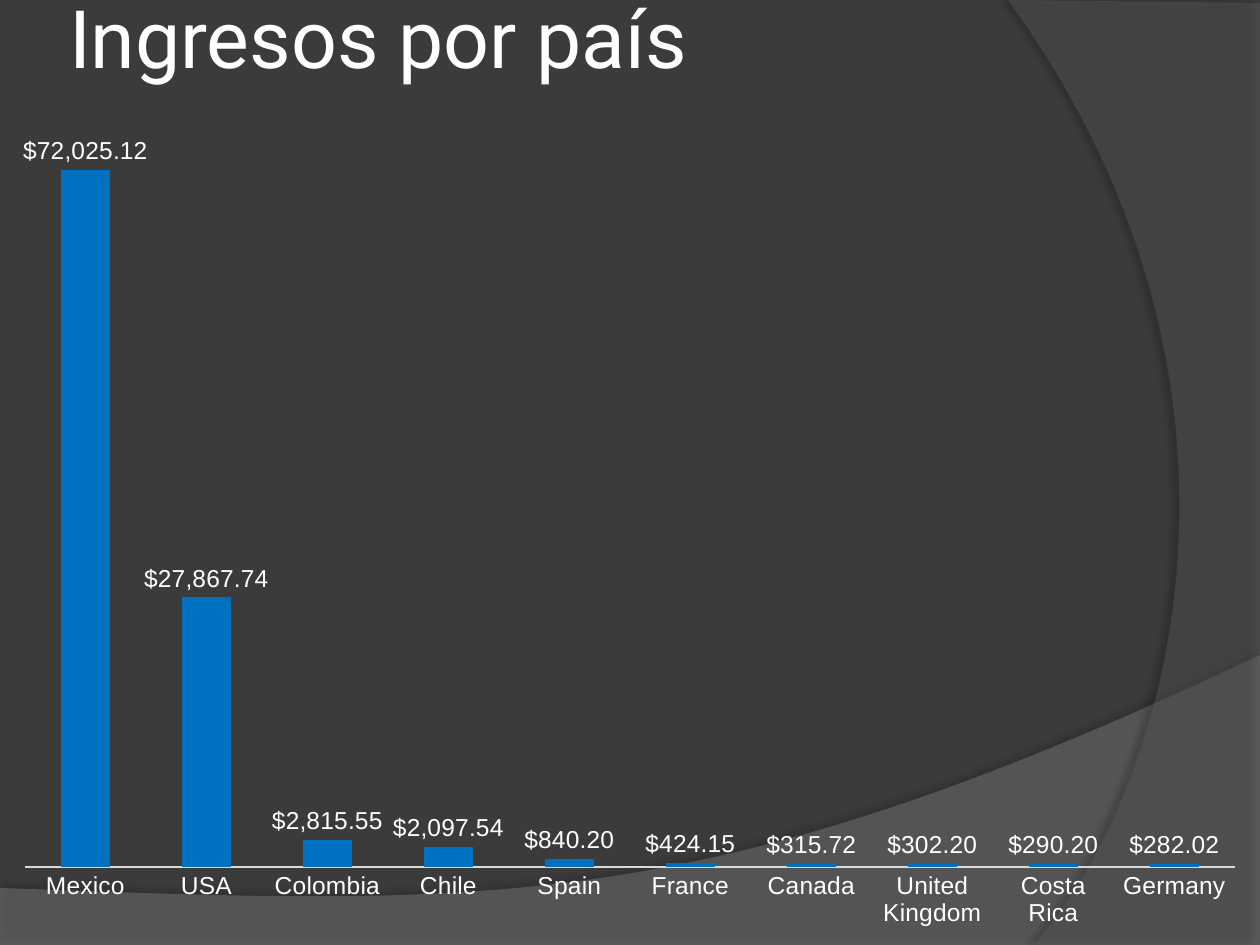
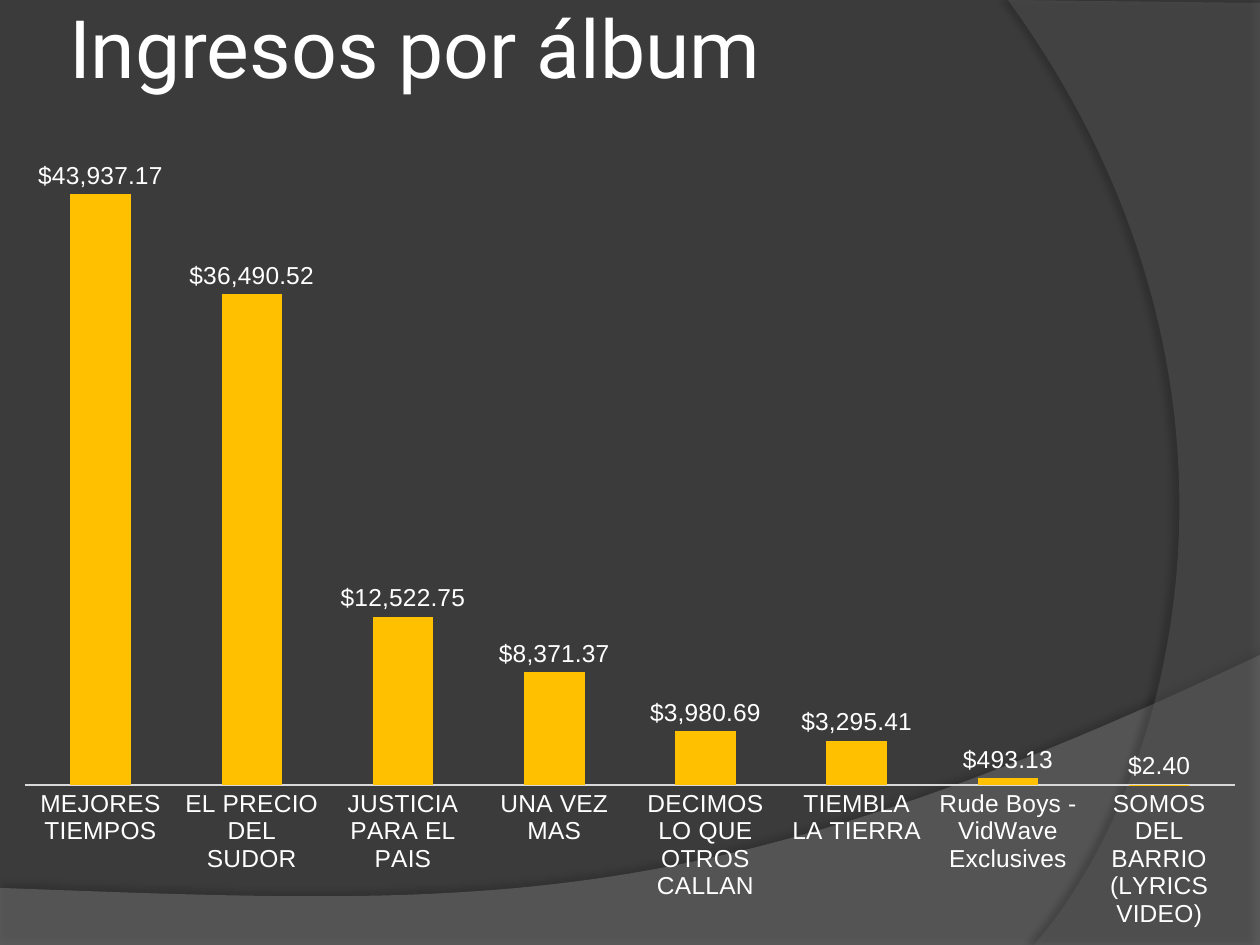
import pptx
import pptx.util
import pptx.chart.data
import pptx.dml.color
import pptx.enum.chart
import pptx.enum.text
from dataclasses import dataclass
from lxml import etree
from pptx.oxml.ns import qn


@dataclass(frozen=True)
class Theme:
    background: str = "3B3B3B"
    text: str = "FFFFFF"
    axis: str = "D9D9D9"
    wave: str = "7F7F7F"
    side: str = "5E5E5E"
    shadow: str = "000000"
    blue: str = "0070C0"
    gold: str = "FFC000"
    title_font: str = "Roboto"
    chart_font: str = "Arial"
    title_size: int = 46
    label_size: int = 14
    chart_size: int = 10


theme = Theme()
rgb = pptx.dml.color.RGBColor.from_string
MONEY = '"$"#,##0.00'
W, H = 1260, 945


def px(n):
    """Turn px (126 to the inch) into EMU."""
    return pptx.util.Emu(round(n * 914400 / 126))


def write(sp, text, *, font, size, color, anchor, inset):
    tf = sp.text_frame
    tf.word_wrap = True
    tf.auto_size = pptx.enum.text.MSO_AUTO_SIZE.NONE
    tf.vertical_anchor = anchor
    tf.margin_left = tf.margin_right = tf.margin_top = tf.margin_bottom = px(inset)
    p = tf.paragraphs[0]
    p.alignment = pptx.enum.text.PP_ALIGN.LEFT
    r = p.add_run()
    r.text = text
    r.font.name, r.font.size = font, pptx.util.Pt(size)
    r.font.color.rgb = rgb(color)


prs = pptx.Presentation()
prs.slide_width, prs.slide_height = px(W), px(H)
layout = prs.slide_layouts[5]

# Shared background colour
bg = prs.slide_master.background.fill
bg.solid()
bg.fore_color.rgb = rgb(theme.background)

# Slide content: title, title top, chart top, axis line y, axis maximum, colour, data
slides = [
    ("Ingresos por país", -43, 76, 867, 80000, theme.blue, 0.75, {
        "Mexico": 72025.12, "USA": 27867.74, "Colombia": 2815.55,
        "Chile": 2097.54, "Spain": 840.2, "France": 424.15, "Canada": 315.72,
        "United Kingdom": 302.2, "Costa Rica": 290.2, "Germany": 282.02}),
    ("Ingresos por álbum", -33, 96, 785, 50000, theme.gold, 1.5, {
        "MEJORES TIEMPOS": 43937.17, "EL PRECIO DEL SUDOR": 36490.52,
        "JUSTICIA PARA EL PAIS": 12522.75, "UNA VEZ MAS": 8371.37,
        "DECIMOS LO QUE OTROS CALLAN": 3980.69, "TIEMBLA LA TIERRA": 3295.41,
        "Rude Boys - VidWave Exclusives": 493.13,
        "SOMOS DEL BARRIO (LYRICS VIDEO)": 2.4}),
]

for title, title_top, chart_top, axis_y, maximum, color, axis_width, data in slides:
    s = prs.slides.add_slide(layout)

    # Title
    sp = s.shapes.title
    sp.left, sp.top, sp.width, sp.height = px(63), px(title_top), px(1134), px(158)
    write(sp, title, font=theme.title_font, size=theme.title_size, color=theme.text,
          anchor=pptx.enum.text.MSO_ANCHOR.MIDDLE, inset=6)

    # Column chart
    cd = pptx.chart.data.CategoryChartData(number_format=MONEY)
    cd.categories = list(data)
    cd.add_series("Series 1", list(data.values()))
    chart_height = H - chart_top
    chart = s.shapes.add_chart(
        pptx.enum.chart.XL_CHART_TYPE.COLUMN_CLUSTERED,
        px(0), px(chart_top), px(W), px(chart_height), cd).chart
    chart.has_legend = chart.has_title = False
    chart.font.name, chart.font.size = theme.chart_font, pptx.util.Pt(theme.chart_size)
    chart.font.color.rgb = rgb(theme.text)

    # Axes
    va, ca = chart.value_axis, chart.category_axis
    va.visible = va.has_major_gridlines = False
    va.minimum_scale, va.maximum_scale = 0, maximum
    va.tick_labels.number_format = MONEY
    va.tick_labels.number_format_is_linked = False
    ca.major_tick_mark = ca.minor_tick_mark = pptx.enum.chart.XL_TICK_MARK.NONE
    ca.format.line.color.rgb = rgb(theme.axis)
    ca.format.line.width = pptx.util.Pt(axis_width)

    # Columns and value labels
    plot = chart.plots[0]
    plot.gap_width, plot.overlap, plot.vary_by_categories = 150, -25, False
    fill = plot.series[0].format.fill
    fill.solid()
    fill.fore_color.rgb = rgb(color)
    plot.has_data_labels = True
    labels = plot.data_labels
    labels.show_value = True
    labels.number_format, labels.number_format_is_linked = MONEY, False
    labels.position = pptx.enum.chart.XL_LABEL_POSITION.OUTSIDE_END
    for font in (labels.font, ca.tick_labels.font):
        font.name, font.size = theme.chart_font, pptx.util.Pt(theme.label_size)
        font.color.rgb = rgb(theme.text)

    # Plot area: 25 px from the sides, 17 px from the top
    area = chart.element.find(".//" + qn("c:plotArea"))
    for old in area.findall(qn("c:layout")):
        area.remove(old)
    box = etree.Element(qn("c:layout"))
    area.insert(0, box)
    manual = etree.SubElement(box, qn("c:manualLayout"))
    for tag, val in [("layoutTarget", "inner"), ("xMode", "edge"), ("yMode", "edge"),
                     ("x", 25 / W), ("y", 17 / chart_height), ("w", (W - 50) / W),
                     ("h", (axis_y - chart_top - 17) / chart_height)]:
        etree.SubElement(manual, qn("c:" + tag)).set("val", str(val))

# Background curves, moved to the layout: corners, then a Bezier from the last one
curves = [
    ([(0, 888), (0, 945), (1260, 945), (1260, 655)],
     [(704, 919), (493, 906), (0, 888)], theme.wave, 45, 35, 3.5, 270),
    ([(1260, 3), (1260, 945), (1034, 945)],
     [(1178, 780), (1283, 378), (1008, 0)], theme.side, 40, 45, 4, 180),
]
for i, (corners, bend, color, alpha, shade, dist, angle) in enumerate(curves):
    a, b, c, d = [corners[-1]] + bend
    points = list(corners)
    for t in (n / 60 for n in range(1, 61)):
        u = 1 - t
        points.append([u**3 * a[k] + 3*u*u*t * b[k] + 3*u*t*t * c[k] + t**3 * d[k]
                       for k in (0, 1)])
    points = [(px(x), px(y)) for x, y in points]
    fb = prs.slides[0].shapes.build_freeform(*points[0], scale=1.0)
    fb.add_line_segments(points[1:], close=True)
    sp = fb.convert_to_shape()
    sp.fill.solid()
    sp.fill.fore_color.rgb = rgb(color)
    sp.line.fill.background()
    sp.shadow.inherit = False
    spPr = sp.element.spPr
    tint = spPr.find(qn("a:solidFill")).find(qn("a:srgbClr"))
    etree.SubElement(tint, qn("a:alpha")).set("val", str(alpha * 1000))
    shadow = etree.SubElement(
        spPr.find(qn("a:effectLst")), qn("a:outerShdw"),
        blurRad=str(pptx.util.Pt(4)), dist=str(pptx.util.Pt(dist)),
        dir=str(angle * 60000), algn="ctr", rotWithShape="0")
    dark = etree.SubElement(shadow, qn("a:srgbClr"), val=theme.shadow)
    etree.SubElement(dark, qn("a:alpha")).set("val", str(shade * 1000))
    sp.element.nvSpPr.cNvPr.id = 20 + i
    layout.shapes.element.insert(2 + i, sp.element)

prs.save("out.pptx")
